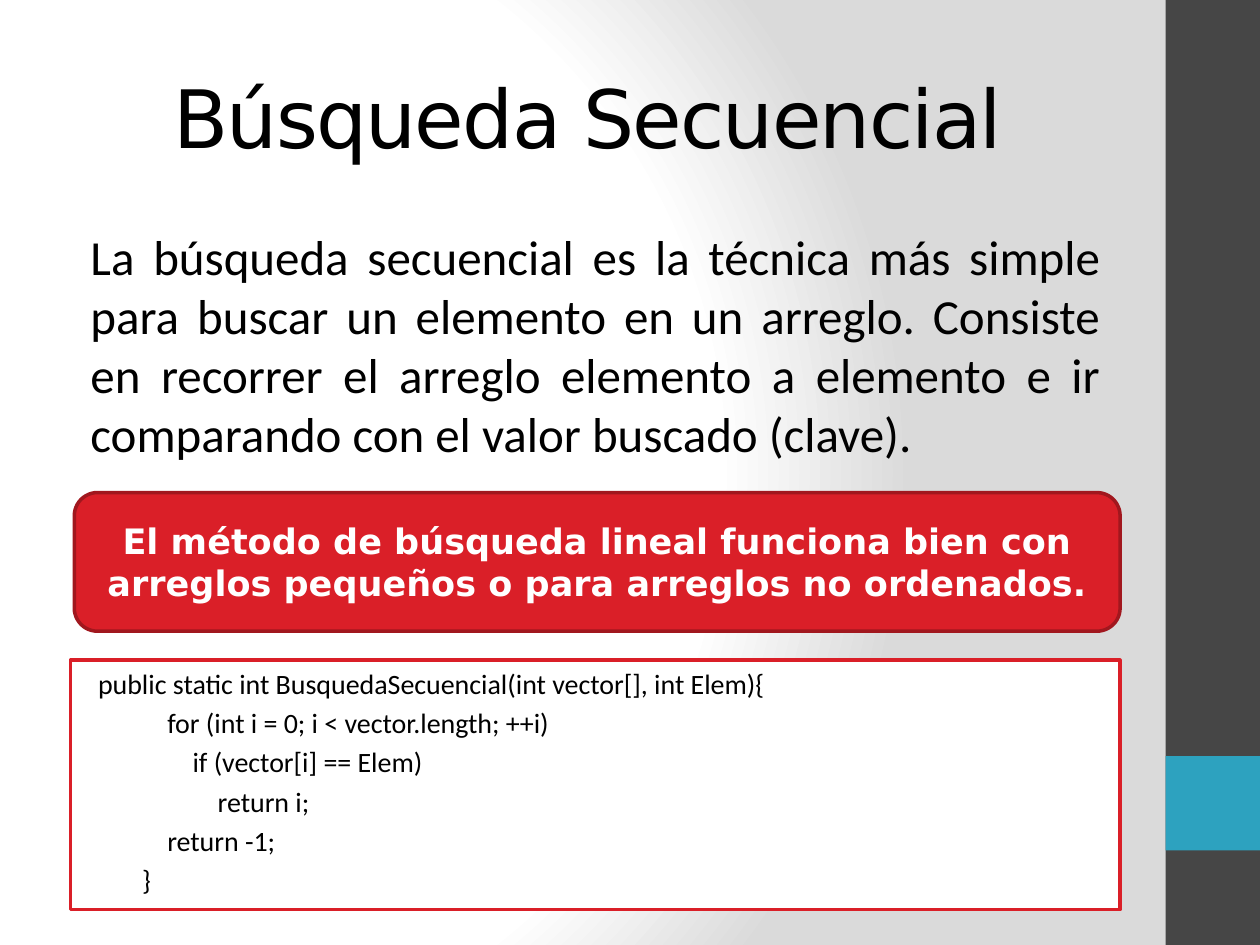
from pptx import Presentation
from pptx.util import Inches, Pt
from pptx.dml.color import RGBColor
from pptx.enum.shapes import MSO_SHAPE as Shape
from pptx.enum.text import PP_ALIGN as Align, MSO_ANCHOR as Anchor, MSO_AUTO_SIZE as Auto
from pptx.oxml import parse_xml

BLACK = RGBColor(0, 0, 0)
WHITE = RGBColor(255, 255, 255)
DARK = RGBColor(0x46, 0x46, 0x46)
TEAL = RGBColor(0x2D, 0xA2, 0xBF)
RED = RGBColor(0xDA, 0x1F, 0x28)
WINE = RGBColor(0xA1, 0x17, 0x1E)

GLOW = '''<p:bg xmlns:p="http://schemas.openxmlformats.org/presentationml/2006/main"
 xmlns:a="http://schemas.openxmlformats.org/drawingml/2006/main">
<p:bgPr><a:gradFill rotWithShape="1"><a:gsLst>
<a:gs pos="0"><a:srgbClr val="FFFFFF"/></a:gs>
<a:gs pos="75000"><a:srgbClr val="FFFFFF"/></a:gs>
<a:gs pos="100000"><a:srgbClr val="DADADA"/></a:gs>
</a:gsLst><a:path path="circle">
<a:fillToRect l="20000" t="50000" r="100000" b="50000"/>
</a:path></a:gradFill><a:effectLst/></p:bgPr></p:bg>'''


def write(frame, lines, size, font="Calibri", color=BLACK, bold=False,
          align=Align.LEFT, anchor=Anchor.TOP, before=0, indent=None, track=0):
    frame.word_wrap = True
    frame.auto_size = Auto.NONE
    frame.vertical_anchor = anchor
    for i, (depth, text) in enumerate(lines):
        para = frame.paragraphs[0] if i == 0 else frame.add_paragraph()
        para.alignment = align
        para.space_before = Pt(size * before)
        if indent is not None:
            props = para._p.get_or_add_pPr()
            props.set("marL", str(Inches(indent + depth)))
            props.set("indent", "0")
        run = para.add_run()
        run.text = text
        run.font.size = Pt(size)
        run.font.name = font
        run.font.bold = bold
        run.font.color.rgb = color
        if track:
            run._r.get_or_add_rPr().set("spc", str(track * 100))


class Page:
    head = "DejaVu Sans"
    body = dict(before=0.2, indent=0.12)

    def __init__(self, deck):
        self.slide = deck.slides.add_slide(deck.slide_layouts[5])
        self.slide.element.cSld.insert(0, parse_xml(GLOW))

    def title(self, text, x, y, w, h):
        box = self.slide.shapes.title
        box.left, box.top, box.width, box.height = map(Inches, (x, y, w, h))
        write(box.text_frame, [(0, text)], 46, font=self.head,
              align=Align.CENTER, anchor=Anchor.MIDDLE, track=-1)

    def text(self, text, x, y, w, h):
        box = self.slide.shapes.add_textbox(*map(Inches, (x, y, w, h)))
        write(box.text_frame, [(0, text)], 28, align=Align.JUSTIFY, **self.body)

    def block(self, x, y, w, h, fill, line=None, kind=Shape.RECTANGLE):
        box = self.slide.shapes.add_shape(kind, *map(Inches, (x, y, w, h)))
        box.shadow.inherit = False
        box.fill.solid()
        box.fill.fore_color.rgb = fill
        if line is None:
            box.line.fill.background()
        else:
            box.line.color.rgb = line
            box.line.width = Pt(2)
        return box

    def note(self, text, *place):
        box = self.block(*place, RED, WINE, Shape.ROUNDED_RECTANGLE)
        write(box.text_frame, [(0, text)], 20, font=self.head, color=WHITE,
              bold=True, align=Align.CENTER, anchor=Anchor.MIDDLE)

    def code(self, lines, *place):
        box = self.block(*place, WHITE, RED)
        write(box.text_frame, lines, 16, **self.body)


deck = Presentation()
deck.slide_width, deck.slide_height = Inches(10), Inches(7.5)
page = Page(deck)
page.block(9.25, 0, 0.75, 7.5, DARK)
page.block(9.25, 6, 0.75, 0.75, TEAL)
page.title("Búsqueda Secuencial", 0.5, 0.3, 8.33, 1.25)
page.text("La búsqueda secuencial es la técnica más simple para buscar un elemento "
          "en un arreglo. Consiste en recorrer el arreglo elemento a elemento e ir "
          "comparando con el valor buscado (clave).", 0.5, 1.75, 8.33, 0.98)
page.note("El método de búsqueda lineal funciona bien con arreglos pequeños "
          "o para arreglos no ordenados.", 0.59, 3.91, 8.3, 1.1)
page.code([
    (0, "public static int BusquedaSecuencial(int vector[], int Elem){"),
    (0.55, "for (int i = 0; i < vector.length; ++i)"),
    (0.75, "if (vector[i] == Elem)"),
    (0.95, "return i;"),
    (0.55, "return -1;"),
    (0.35, "}"),
], 0.56, 5.24, 8.33, 1.98)
deck.save("out.pptx")
